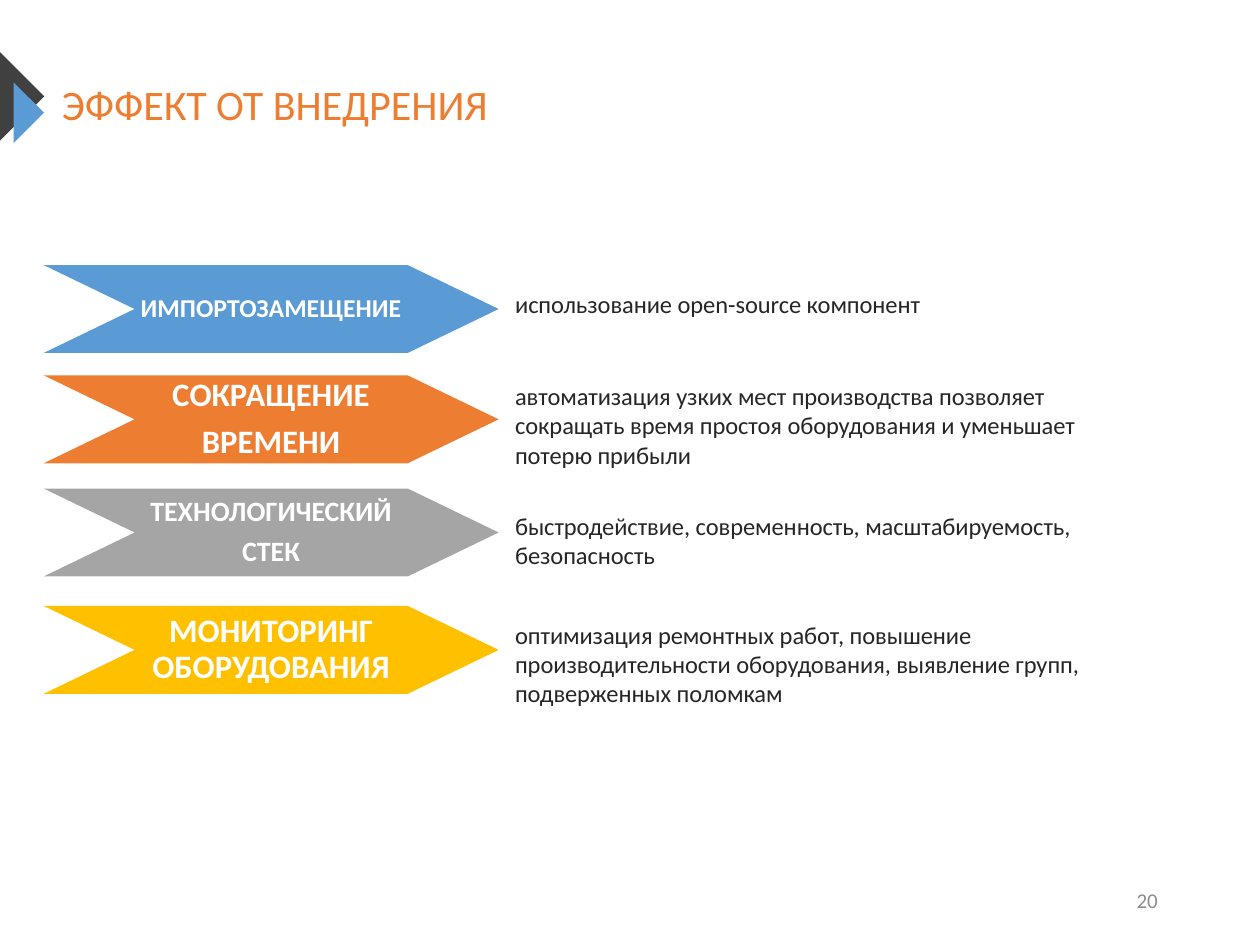
import pptx
import pptx.util
import pptx.dml.color
import pptx.enum.shapes
import pptx.enum.text

Pt = pptx.util.Pt
ALIGN = pptx.enum.text.PP_ALIGN
ANCHOR = pptx.enum.text.MSO_ANCHOR

COLORS = {
    "blue": "5B9BD5",
    "orange": "ED7D31",
    "gray": "A5A5A5",
    "gold": "FFC000",
    "charcoal": "404040",
    "body": "262626",
    "page": "8C8C8C",
    "white": "FFFFFF",
}

ARROW_LEFT, ARROW_WIDTH, ARROW_HEIGHT, ARROW_POINT = 18.7, 195, 37.7, 39

EFFECTS = [
    (113.6, "blue", 11, "ИМПОРТОЗАМЕЩЕНИЕ",
     120.2, "использование open-source компонент"),
    (160.9, "orange", 14, "СОКРАЩЕНИЕ\nВРЕМЕНИ",
     159.8, "автоматизация узких мест производства позволяет сокращать "
            "время простоя оборудования и уменьшает потерю прибыли"),
    (209.4, "gray", 12, "ТЕХНОЛОГИЧЕСКИЙ\nСТЕК",
     215.3, "быстродействие, современность, масштабируемость, безопасность"),
    (259.7, "gold", 14, "МОНИТОРИНГ ОБОРУДОВАНИЯ",
     262.1, "оптимизация ремонтных работ, повышение производительности "
            "оборудования, выявление групп, подверженных поломкам"),
]


def rgb(color):
    return pptx.dml.color.RGBColor.from_string(COLORS[color])


def paint(shape, color):
    shape.shadow.inherit = False
    shape.fill.solid()
    shape.fill.fore_color.rgb = rgb(color)
    shape.line.fill.background()


def set_margins(frame, horizontal, vertical):
    frame.margin_left = frame.margin_right = Pt(horizontal)
    frame.margin_top = frame.margin_bottom = Pt(vertical)


def write(frame, text, size, color, align=ALIGN.LEFT, bold=False):
    frame.text = text
    for paragraph in frame.paragraphs:
        paragraph.alignment = align
        for run in paragraph.runs:
            run.font.name = "Calibri"
            run.font.size = Pt(size)
            run.font.bold = bold
            run.font.color.rgb = rgb(color)


def add_label(slide, left, top, width, height, text, size, color,
              align=ALIGN.LEFT, anchor=ANCHOR.TOP, wrap=True, margins=(7.2, 3.6)):
    label = slide.shapes.add_textbox(Pt(left), Pt(top), Pt(width), Pt(height))
    frame = label.text_frame
    frame.word_wrap = wrap
    frame.vertical_anchor = anchor
    set_margins(frame, *margins)
    write(frame, text, size, color, align)


def add_triangle(slide, left, top, width, height, color):
    outline = slide.shapes.build_freeform(Pt(left), Pt(top))
    outline.add_line_segments([
        (Pt(left + width), Pt(top + height / 2)),
        (Pt(left), Pt(top + height)),
    ])
    paint(outline.convert_to_shape(), color)


def add_effect_arrow(slide, top, color, size, text):
    arrow = slide.shapes.add_shape(
        pptx.enum.shapes.MSO_SHAPE.CHEVRON,
        Pt(ARROW_LEFT), Pt(top), Pt(ARROW_WIDTH), Pt(ARROW_HEIGHT))
    arrow.adjustments[0] = ARROW_POINT / ARROW_HEIGHT
    paint(arrow, color)
    frame = arrow.text_frame
    frame.word_wrap = True
    frame.vertical_anchor = ANCHOR.MIDDLE
    set_margins(frame, 0, 0)
    write(frame, text, size, "white", ALIGN.CENTER, bold=True)
    for paragraph in frame.paragraphs:
        paragraph.line_spacing = 0.9
        paragraph.space_after = Pt(round(size * 0.35, 1))


def main():
    deck = pptx.Presentation()
    deck.slide_width, deck.slide_height = Pt(540), Pt(405)
    slide = deck.slides.add_slide(deck.slide_layouts[6])

    add_label(slide, 381.6, 375.1, 121.7, 21.6, "20", 9, "page",
              align=ALIGN.RIGHT, anchor=ANCHOR.MIDDLE)
    for top, color, size, effect, detail_top, detail in EFFECTS:
        add_effect_arrow(slide, top, color, size, effect)
        add_label(slide, ARROW_LEFT + ARROW_WIDTH, detail_top, 273.6, 24.5,
                  detail, 10.5, "body")

    add_triangle(slide, 0, 22.3, 19, 38, "charcoal")
    add_triangle(slide, 5.8, 35.3, 13, 26, "blue")
    add_label(slide, 26.6, 33.8, 182.9, 21.6, "ЭФФЕКТ ОТ ВНЕДРЕНИЯ", 18,
              "orange", wrap=False, margins=(0, 0))

    deck.save("out.pptx")


if __name__ == "__main__":
    main()
